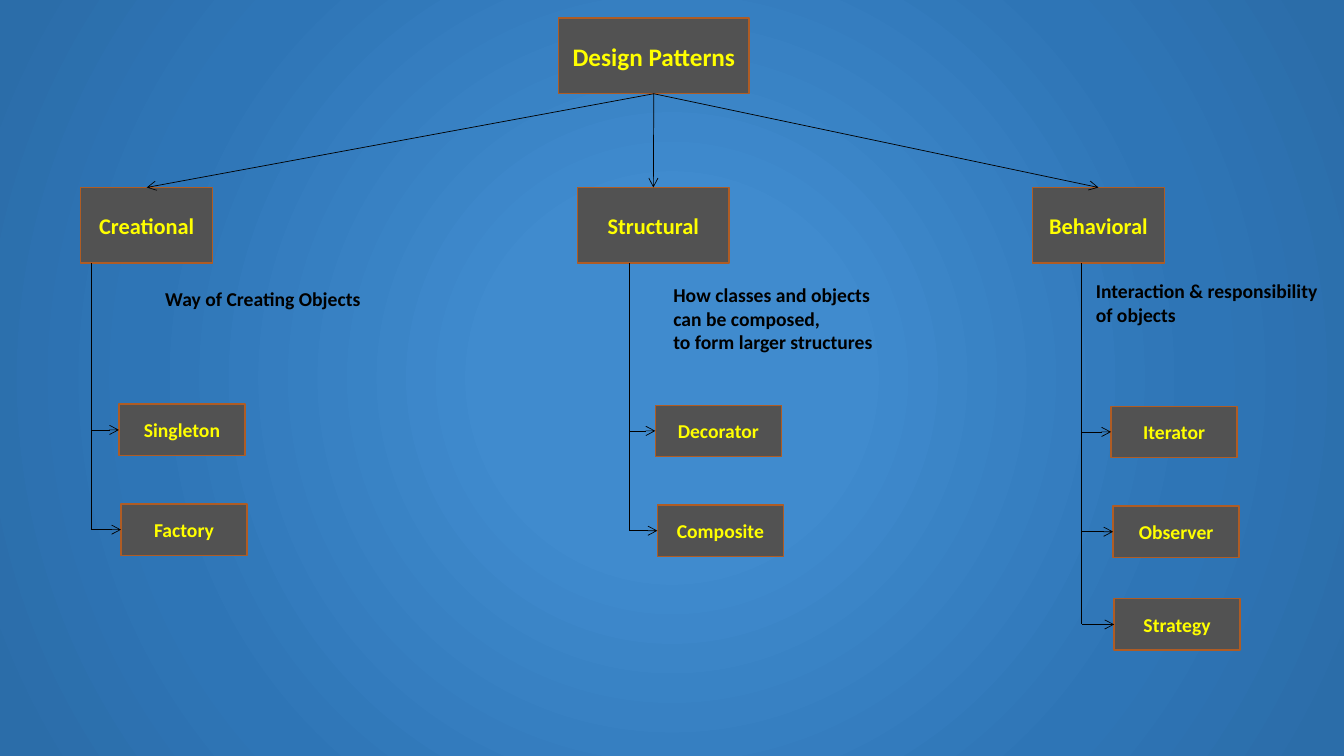
import pptx
import pptx.dml.color
import pptx.enum.shapes
import pptx.enum.text
import pptx.oxml
import pptx.oxml.ns
import pptx.util
from pptx.util import Inches

RGBColor = pptx.dml.color.RGBColor
BOX_FILL = RGBColor(0x52, 0x52, 0x52)
BOX_LINE = RGBColor(0xAF, 0x5C, 0x24)
YELLOW = RGBColor(0xFF, 0xFF, 0x00)
BLACK = RGBColor(0x00, 0x00, 0x00)
BACKGROUND_STOPS = [(0, "408BCE"), (23, "408BCE"), (69, "2E75B6"), (97, "2B6DA9")]

FONT = "Calibri"
TOP, LEFT, BOTTOM = 0, 1, 2
CATEGORY_TOP, CATEGORY_HEIGHT = 1.86, 0.75
PATTERN_WIDTH, PATTERN_HEIGHT = 1.25, 0.51

ROOT = ("Design Patterns", (5.54, 0.18, 1.89, 0.75))
CATEGORIES = [
    {
        "name": "Creational", "left": 0.8, "width": 1.31, "stem": 0.91,
        "note": ["Way of Creating Objects"],
        "note_at": (1.54, 2.8, 2.15, 0.34),
        "patterns": [("Singleton", 1.18, 4.01), ("Factory", 1.2, 5.0)],
    },
    {
        "name": "Structural", "left": 5.73, "width": 1.5, "stem": 6.24,
        "note": ["How classes and objects", "can be composed,", "to form larger structures"],
        "note_at": (6.58, 2.76, 2.21, 0.81),
        "patterns": [("Decorator", 6.5, 4.02), ("Composite", 6.52, 5.01)],
    },
    {
        "name": "Behavioral", "left": 10.24, "width": 1.31, "stem": 10.73,
        "note": ["Interaction & responsibility", "of objects"],
        "note_at": (10.77, 2.72, 2.47, 0.57),
        "patterns": [("Iterator", 11.02, 4.03), ("Observer", 11.04, 5.02), ("Strategy", 11.05, 5.94)],
    },
]


def write_text(text_frame, lines, size, color, align):
    for index, line in enumerate(lines):
        paragraph = text_frame.paragraphs[0] if index == 0 else text_frame.add_paragraph()
        paragraph.alignment = align
        run = paragraph.add_run()
        run.text = line
        run.font.name = FONT
        run.font.size = pptx.util.Pt(size)
        run.font.bold = True
        run.font.color.rgb = color


def add_box(slide, name, position, size):
    shape = slide.shapes.add_shape(
        pptx.enum.shapes.MSO_SHAPE.RECTANGLE, *map(Inches, position))
    shape.shadow.inherit = False
    shape.fill.solid()
    shape.fill.fore_color.rgb = BOX_FILL
    shape.line.color.rgb = BOX_LINE
    shape.line.width = pptx.util.Pt(1)
    shape.text_frame.word_wrap = True
    shape.text_frame.vertical_anchor = pptx.enum.text.MSO_ANCHOR.MIDDLE
    write_text(shape.text_frame, [name], size=size, color=YELLOW,
               align=pptx.enum.text.PP_ALIGN.CENTER)
    return shape


def add_note(slide, lines, position):
    text_box = slide.shapes.add_textbox(*map(Inches, position))
    text_box.text_frame.word_wrap = False
    text_box.text_frame.auto_size = pptx.enum.text.MSO_AUTO_SIZE.SHAPE_TO_FIT_TEXT
    write_text(text_box.text_frame, lines, size=14, color=BLACK,
               align=pptx.enum.text.PP_ALIGN.LEFT)


def add_line(slide, start, end, arrow=False):
    connector = slide.shapes.add_connector(
        pptx.enum.shapes.MSO_CONNECTOR.STRAIGHT, *start, *end)
    connector.line.color.rgb = BLACK
    connector.line.width = pptx.util.Pt(0.5)
    properties = connector.element.spPr
    if arrow:
        line = properties.find(pptx.oxml.ns.qn("a:ln"))
        line.append(pptx.oxml.parse_xml(
            f'<a:tailEnd {pptx.oxml.ns.nsdecls("a")} type="arrow"/>'))
    properties.append(pptx.oxml.parse_xml(f'<a:effectLst {pptx.oxml.ns.nsdecls("a")}/>'))
    return connector


def set_background(slide):
    slide.background.fill.gradient()
    gradient = next(slide.element.iter(pptx.oxml.ns.qn("a:gradFill")))
    stops = "".join(
        f'<a:gs pos="{percent * 1000}"><a:srgbClr val="{color}"/></a:gs>'
        for percent, color in BACKGROUND_STOPS)
    radial = pptx.oxml.parse_xml(
        f'<a:gradFill {pptx.oxml.ns.nsdecls("a")} rotWithShape="1"><a:gsLst>{stops}</a:gsLst>'
        '<a:path path="circle"><a:fillToRect l="50000" t="50000" r="50000" b="50000"/>'
        '</a:path></a:gradFill>')
    gradient.getparent().replace(gradient, radial)


def add_category(slide, root, category):
    box = add_box(slide, category["name"],
                  (category["left"], CATEGORY_TOP, category["width"], CATEGORY_HEIGHT), size=16)
    link = add_line(slide, (0, 0), (0, 0), arrow=True)
    link.begin_connect(root, BOTTOM)
    link.end_connect(box, TOP)
    add_note(slide, category["note"], category["note_at"])

    stem = Inches(category["stem"])
    for name, left, top in category["patterns"]:
        pattern = add_box(slide, name, (left, top, PATTERN_WIDTH, PATTERN_HEIGHT), size=14)
        middle = pattern.top + pattern.height // 2
        branch = add_line(slide, (stem, middle), (pattern.left, middle), arrow=True)
        branch.end_connect(pattern, LEFT)
    add_line(slide, (stem, box.top + box.height), (stem, middle))


def main():
    presentation = pptx.Presentation()
    presentation.slide_width = Inches(13.33)
    presentation.slide_height = Inches(7.5)
    slide = presentation.slides.add_slide(presentation.slide_layouts[6])
    set_background(slide)
    root_name, root_position = ROOT
    root = add_box(slide, root_name, root_position, size=18)
    for category in CATEGORIES:
        add_category(slide, root, category)
    presentation.save("out.pptx")


if __name__ == "__main__":
    main()
